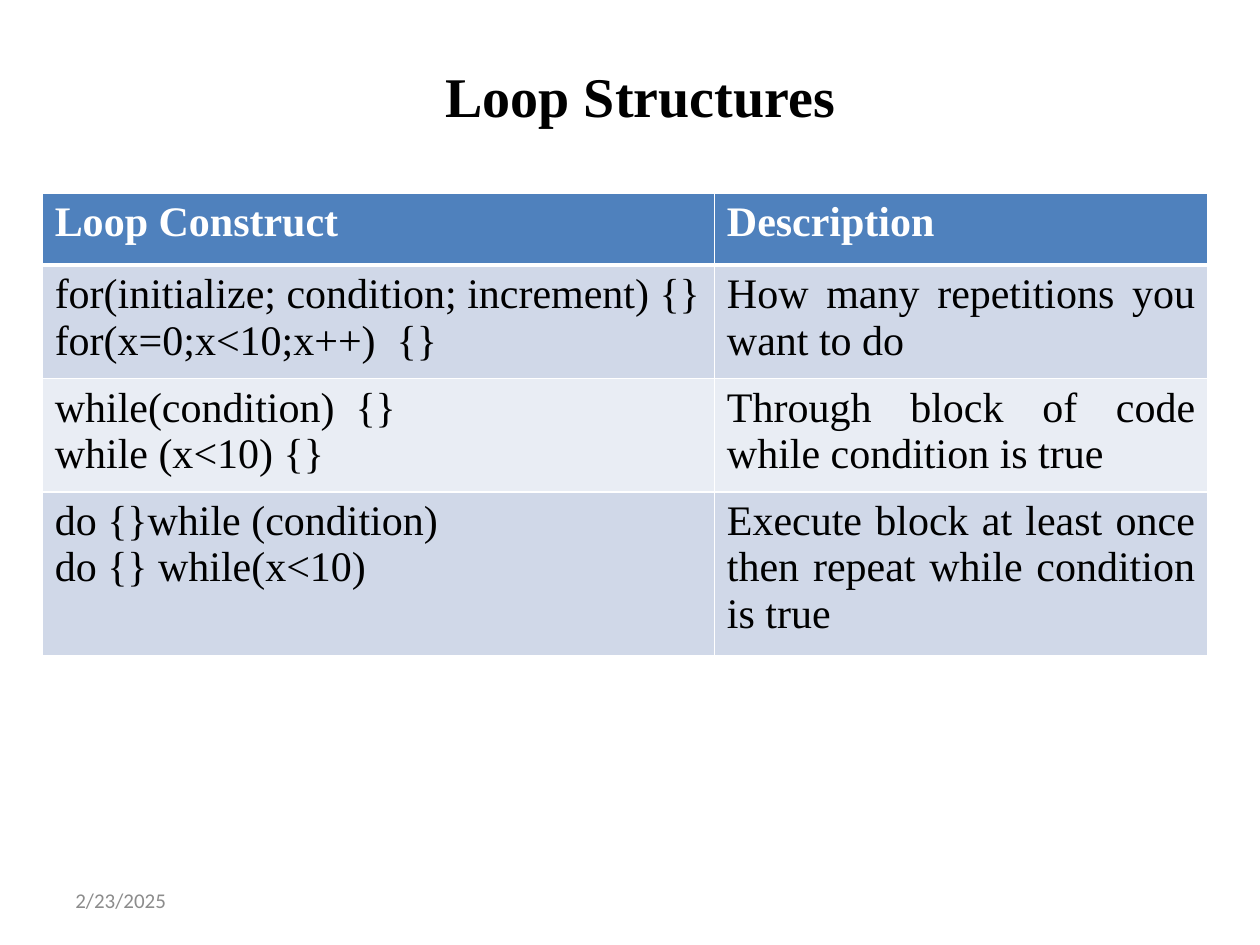
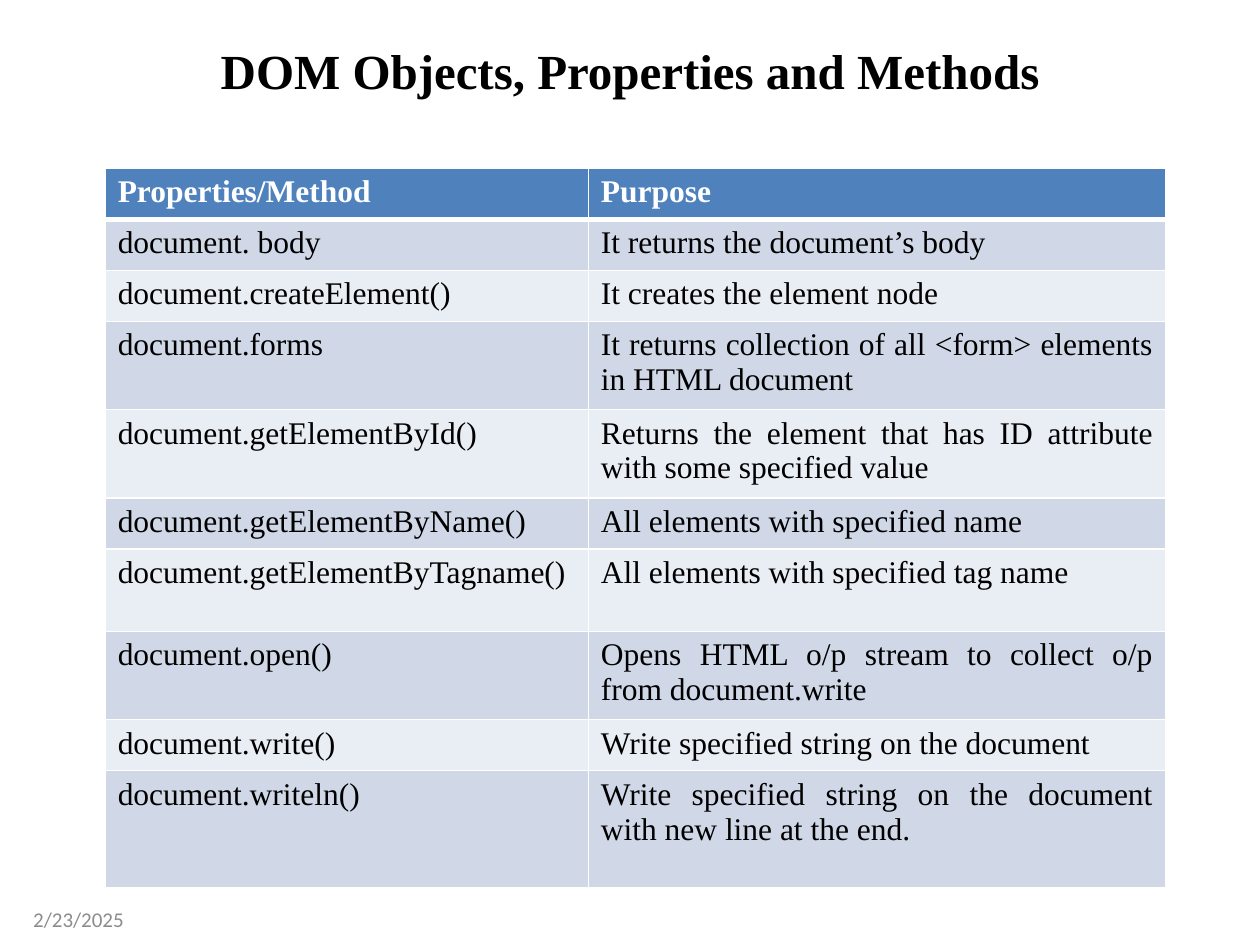
from lxml import etree
from pptx import Presentation
from pptx.dml.color import RGBColor
from pptx.enum.text import MSO_ANCHOR, MSO_AUTO_SIZE, PP_ALIGN
from pptx.oxml.ns import qn
from pptx.util import Cm, Pt

MIDDLE = MSO_ANCHOR.MIDDLE
NO_FIT = MSO_AUTO_SIZE.NONE
LEFT, CENTER, JUSTIFY = PP_ALIGN.LEFT, PP_ALIGN.CENTER, PP_ALIGN.JUSTIFY

SERIF, SANS = "Times New Roman", "Calibri"
BLACK, WHITE, GREY = "000000", "FFFFFF", "8C8C8C"
HEAD = "4F81BD"
BANDS = ("D0D8E8", "E9EDF4")
DATE = "2/23/2025"

LOOPS = [
    ("Loop Construct", "Description"),
    ("for(initialize; condition; increment) {}\nfor(x=0;x<10;x++)  {}",
     "How many repetitions you want to do"),
    ("while(condition)  {}\nwhile (x<10) {}",
     "Through block of code while condition is true"),
    ("do {}while (condition)\ndo {} while(x<10)",
     "Execute block at least once then repeat while condition is true"),
]
LOOP_ROWS = (1.45, 2.13, 2.13, 3.05)

METHODS = [
    ("Properties/Method", "Purpose"),
    ("document. body", "It returns the document’s body"),
    ("document.createElement()", "It creates the element node"),
    ("document.forms",
     "It returns collection of all <form> elements in HTML document"),
    ("document.getElementById()",
     "Returns the element that has ID attribute with some specified value"),
    ("document.getElementByName()", "All elements with specified name"),
    ("document.getElementByTagname()", "All elements with specified tag name"),
    ("document.open()",
     "Opens HTML o/p stream to collect o/p from document.write"),
    ("document.write()", "Write specified string on the document"),
    ("document.writeln()",
     "Write specified string on the document with new line at the end."),
]
ONE, TWO = 1.03, 1.66  # row heights for one and two lines of text
METHOD_ROWS = (ONE, ONE, ONE, TWO, TWO, ONE, TWO, TWO, ONE, 2.36)


def color(code):
    return RGBColor.from_string(code)


def style(frame, size, font, ink, bold=False, align=LEFT):
    for para in frame.paragraphs:
        para.alignment = align
        for run in para.runs:
            run.font.name = font
            run.font.size = Pt(size)
            run.font.bold = bold
            run.font.color.rgb = color(ink)


def place(shape, box):
    shape.left, shape.top, shape.width, shape.height = map(Cm, box)


def add_title(slide, text, box, size):
    title = slide.shapes.title
    place(title, box)
    frame = title.text_frame
    frame.text = text
    frame.auto_size = NO_FIT
    frame.vertical_anchor = MIDDLE
    style(frame, size, SERIF, BLACK, True, CENTER)


def add_date(slide, box):
    frame = slide.shapes.add_textbox(*map(Cm, box)).text_frame
    frame.text = DATE
    frame.word_wrap = True
    frame.vertical_anchor = MIDDLE
    style(frame, 12, SANS, GREY)


def add_edge(cell, side, width):
    """Draw one white border; call before the cell is filled."""
    props = cell._tc.get_or_add_tcPr()
    line = etree.SubElement(props, qn(f"a:ln{side}"), w=str(Pt(width)))
    fill = etree.SubElement(line, qn("a:solidFill"))
    etree.SubElement(fill, qn("a:srgbClr"), val=WHITE)


def add_grid(slide, data, spot, cols, rows, size):
    """Add a banded table whose first row is the header."""
    box = (*spot, sum(cols), sum(rows))
    frame = slide.shapes.add_table(len(rows), len(cols), *map(Cm, box))
    table = frame.table
    for col, width in zip(table.columns, cols):
        col.width = Cm(width)
    for r, (row, high, texts) in enumerate(zip(table.rows, rows, data)):
        row.height = Cm(high)
        top = r == 0
        edges = {"L": 1, "R": 1, "T": 3 if r == 1 else 1, "B": 3 if top else 1}
        for cell, text in zip(row.cells, texts):
            for side, width in edges.items():
                add_edge(cell, side, width)
            cell.fill.solid()
            cell.fill.fore_color.rgb = color(HEAD if top else BANDS[(r - 1) % 2])
            cell.text_frame.text = text
            style(cell.text_frame, size, SERIF, WHITE if top else BLACK,
                  top, JUSTIFY)


def main():
    deck = Presentation()
    deck.slide_width, deck.slide_height = Cm(25.4), Cm(19.05)
    layout = deck.slide_layouts[5]

    loops = deck.slides.add_slide(layout)
    add_title(loops, "Loop Structures", (1.27, 0.64, 23.28, 2.54), 32)
    add_date(loops, (1.27, 17.65, 5.93, 1.01))
    add_grid(loops, LOOPS, (0.85, 3.89), (13.55, 9.95), LOOP_ROWS, 24)

    dom = deck.slides.add_slide(layout)
    add_title(dom, "DOM Objects, Properties and Methods",
              (1.27, 0.42, 22.86, 1.98), 28)
    add_date(dom, (0.42, 18.03, 2.75, 1.01))
    add_grid(dom, METHODS, (2.12, 3.39), (9.74, 11.64), METHOD_ROWS, 18)

    deck.save("out.pptx")


if __name__ == "__main__":
    main()
